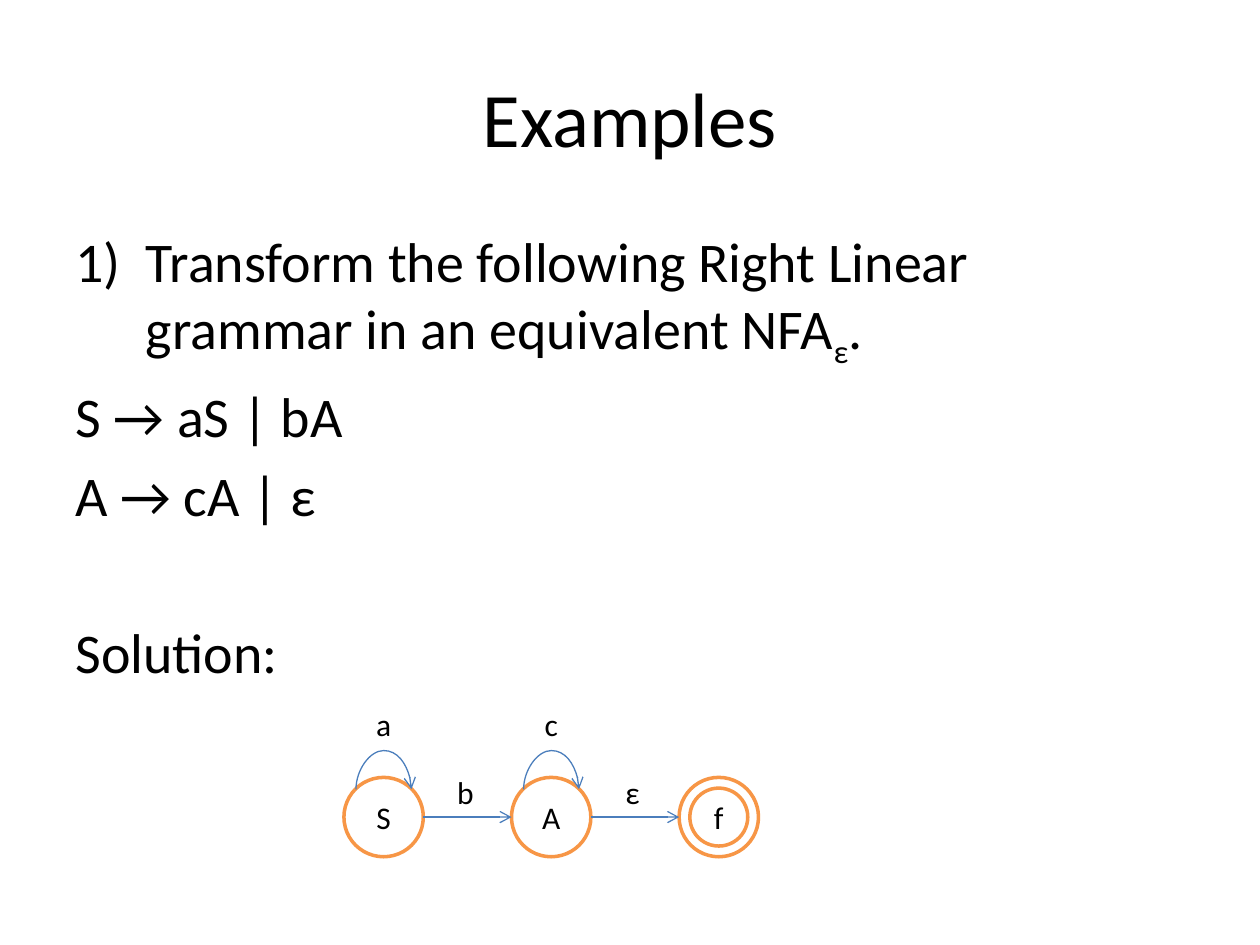
from pptx import Presentation
from pptx.dml.color import RGBColor as Rgb
from pptx.enum.shapes import MSO_CONNECTOR as Link, MSO_SHAPE as Form
from pptx.enum.text import MSO_ANCHOR as Anchor, PP_ALIGN as Align
from pptx.oxml.ns import qn
from pptx.util import Emu, Inches, Pt
from lxml.etree import SubElement as Sub

HUES = {"ink": "000000", "paper": "FFFFFF", "ring": "F79646", "edge": "4B7EBC"}
WIDE, HIGH = 10, 7.5
SIDE = 0.05 * WIDE
SPAN = WIDE - 2 * SIDE


def hue(name):
    return Rgb.from_string(HUES[name])


def write(para, text, size=18, align=None, base=None):
    run = para.add_run()
    run.text = text
    run.font.size = Pt(size)
    run.font.name = "Calibri"
    run.font.color.rgb = hue("ink")
    if align is not None:
        para.alignment = align
    if base:
        run._r.get_or_add_rPr().set("baseline", str(base))


def head(slide, box):
    title = slide.shapes.title
    title.left, title.top, title.width, title.height = map(Inches, box)
    frame = title.text_frame
    frame.vertical_anchor = Anchor.MIDDLE
    write(frame.paragraphs[0], "Examples", size=44, align=Align.CENTER)


def body(slide, box):
    frame = slide.shapes.add_textbox(*map(Inches, box)).text_frame
    frame.word_wrap = True
    task = frame.paragraphs[0]
    props = task._p.get_or_add_pPr()
    props.set("marL", str(Inches(0.56)))
    props.set("indent", str(-Inches(0.56)))
    Sub(props, qn("a:buFont"), typeface="+mj-lt")
    Sub(props, qn("a:buAutoNum"), type="arabicParenR")
    write(task, "Transform the following Right Linear grammar in an equivalent NFA", size=32)
    write(task, "ε", size=32, base=-25000)
    write(task, ".", size=32)
    for text, gap in (("S → aS | bA", 6.4), ("A → cA | ε", 6.4), ("Solution:", 51.8)):
        para = frame.add_paragraph()
        para.space_before = Pt(gap)
        write(para, text, size=32)


def ring(shapes, x, y, size, text=""):
    node = shapes.add_shape(Form.OVAL, *map(Inches, (x - size / 2, y - size / 2, size, size)))
    node.shadow.inherit = False
    node.fill.solid()
    node.fill.fore_color.rgb = hue("paper")
    node.line.color.rgb = hue("ring")
    node.line.width = Pt(2)
    frame = node.text_frame
    frame.margin_left = frame.margin_right = 0
    frame.vertical_anchor = Anchor.MIDDLE
    if text:
        write(frame.paragraphs[0], text, align=Align.CENTER)


def arrow(slide, kind, *ends):
    line = slide.shapes.add_connector(kind, *ends)
    line.line.color.rgb = hue("edge")
    line.line.width = Pt(0.75)
    Sub(line.line._get_or_add_ln(), qn("a:tailEnd"), type="arrow")
    Sub(line._element.spPr, qn("a:effectLst"))
    return line


def loop(slide, x, y, width, rise):
    thin = Emu(1588)
    mid, half = Inches(x), Inches(width / 2)
    line = arrow(slide, Link.CURVE, mid + thin, Inches(y) + half, mid, Inches(y) - half)
    line.rotation = 90 if hasattr(line, "rotation") else 0
    props = line._element.spPr
    props.find(qn("a:xfrm")).set("rot", "5400000")
    bend = props.find(qn("a:prstGeom"))
    bend.set("prst", "curvedConnector3")
    marks = bend.find(qn("a:avLst"))
    if marks is None:
        marks = Sub(bend, qn("a:avLst"))
    share = round(Inches(rise) / thin * 100000)
    Sub(marks, qn("a:gd"), name="adj1", fmla=f"val {share}")


def label(slide, x, y, text):
    wide, high = 0.32, 0.4
    box = slide.shapes.add_textbox(*map(Inches, (x - wide / 2, y, wide, high)))
    box.text_frame.word_wrap = False
    write(box.text_frame.paragraphs[0], text, align=Align.CENTER)


def graph(slide, box):
    left, top, width, height = box
    size = 0.63
    step = (width - size) / 2
    row = top + height - size / 2
    cols = [left + size / 2 + step * i for i in range(3)]
    for x, text in zip(cols, "SΑ"):
        ring(slide.shapes, x, row, size, text)
    final = slide.shapes.add_group_shape().shapes
    ring(final, cols[2], row, size)
    ring(final, cols[2], row, 0.46, "f")
    for x, own, out in zip(cols, "ac", "bε"):
        ends = (x + size / 2, row, x + step - size / 2, row)
        arrow(slide, Link.STRAIGHT, *map(Inches, ends))
        loop(slide, x, row - 0.22, 0.44, 0.34)
        label(slide, x, top, own)
        label(slide, x + step / 2 - 0.02, row - 0.4, out)


def main():
    deck = Presentation()
    deck.slide_width, deck.slide_height = Inches(WIDE), Inches(HIGH)
    slide = deck.slides.add_slide(deck.slide_layouts[5])
    head(slide, (SIDE, 0.04 * HIGH, SPAN, HIGH / 6))
    body(slide, (SIDE, 1.75, SPAN, 3.88))
    graph(slide, (2.73, 5.55, 3.29, 1.25))
    deck.save("out.pptx")


if __name__ == "__main__":
    main()
